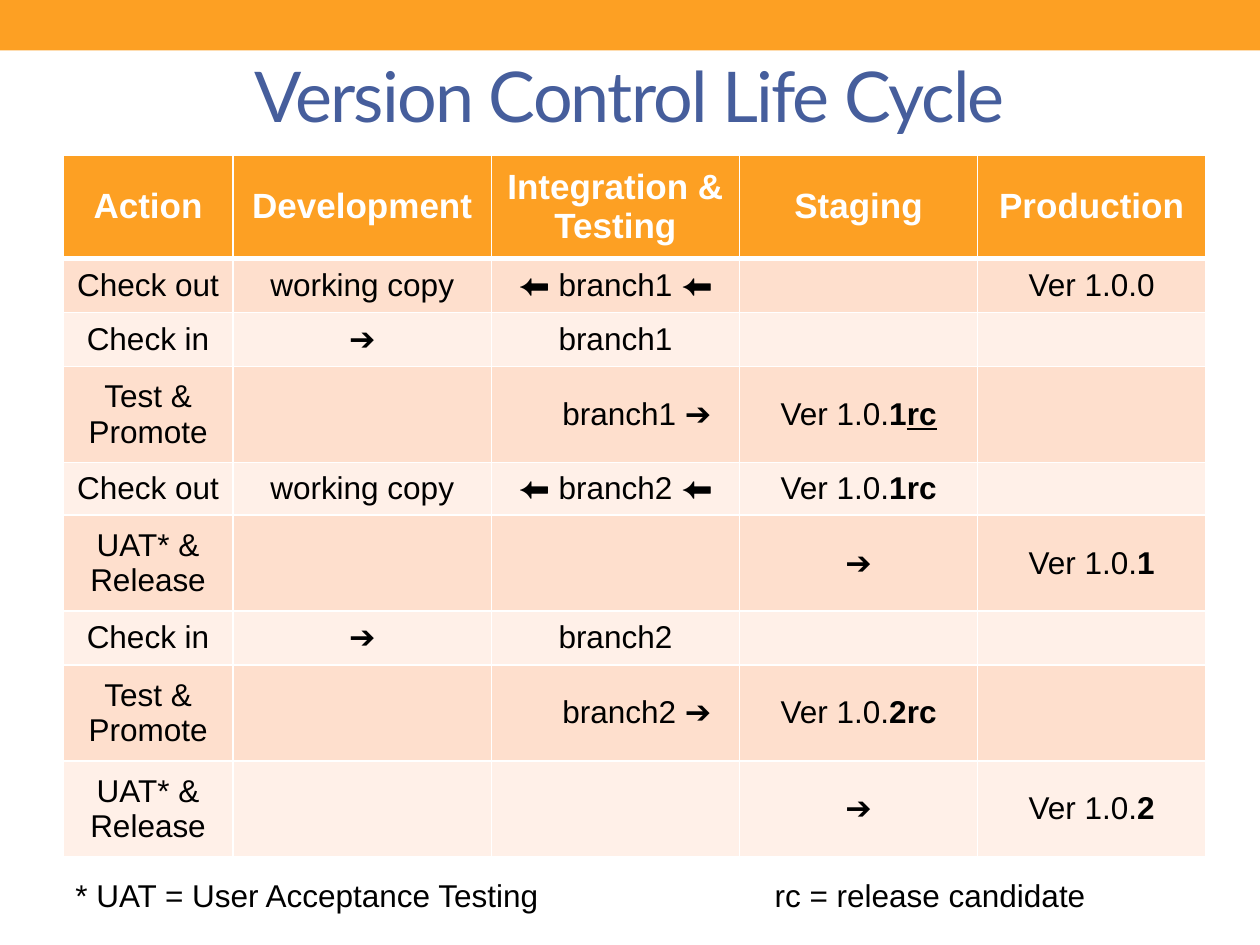
from lxml import etree
from pptx import Presentation
from pptx.dml.color import RGBColor
from pptx.enum.shapes import MSO_SHAPE
from pptx.enum.text import MSO_ANCHOR, PP_ALIGN
from pptx.oxml.ns import qn
from pptx.util import Inches, Pt

RECT = MSO_SHAPE.RECTANGLE
MIDDLE = MSO_ANCHOR.MIDDLE
CENTER, LEFT = PP_ALIGN.CENTER, PP_ALIGN.LEFT

COLORS = {
    "orange": "FDA023",
    "blue": "465E9C",
    "white": "FFFFFF",
    "black": "000000",
    "band_dark": "FEDFCD",
    "band_light": "FFF0E8",
}

COL_WIDTHS = [1.35, 2.05, 1.97, 1.89, 1.81]
ROW_HEIGHTS = [0.82, 0.43, 0.43, 0.76, 0.42, 0.76, 0.43, 0.76, 0.76]
HEADERS = ["Action", "Development", "Integration & Testing", "Staging", "Production"]
VERSION = "Ver 1.0."
STEPS = [
    ["Check out", "working copy", "⬅ branch1 ⬅", "", "Ver 1.0.0"],
    ["Check in", "➔", "branch1", "", ""],
    ["Test & Promote", "", "branch1 ➔", [VERSION, ("1", "b"), ("rc", "bu")], ""],
    ["Check out", "working copy", "⬅ branch2 ⬅", [VERSION, ("1rc", "b")], ""],
    ["UAT* & Release", "", "", "➔", [VERSION, ("1", "b")]],
    ["Check in", "➔", "branch2", "", ""],
    ["Test & Promote", "", "branch2 ➔", [VERSION, ("2rc", "b")], ""],
    ["UAT* & Release", "", "", "➔", [VERSION, ("2", "b")]],
]


def rgb(name):
    return RGBColor.from_string(COLORS[name])


def add_run(p, text, size, color, font="Arial", style=""):
    r = p.add_run()
    r.text = text
    r.font.name = font
    r.font.size = Pt(size)
    r.font.color.rgb = rgb(color)
    r.font.bold = "b" in style
    r.font.underline = "u" in style
    return r


def add_band(s, x, y, w, h, color):
    sp = s.shapes.add_shape(RECT, Inches(x), Inches(y), Inches(w), Inches(h))
    sp.shadow.inherit = False
    sp.fill.solid()
    sp.fill.fore_color.rgb = rgb(color)
    sp.line.fill.background()


def add_text(s, x, y, w, h, align):
    sp = s.shapes.add_textbox(Inches(x), Inches(y), Inches(w), Inches(h))
    tf = sp.text_frame
    tf.word_wrap = True
    tf.vertical_anchor = MIDDLE
    p = tf.paragraphs[0]
    p.alignment = align
    return p


def add_tab_stop(p, x):
    tabs = etree.SubElement(p._p.get_or_add_pPr(), qn("a:tabLst"))
    etree.SubElement(tabs, qn("a:tab"), pos=str(Inches(x)), algn="l")


def set_borders(cell, **widths):
    tc_pr = cell._tc.get_or_add_tcPr()
    for side in "LRTB":
        ln = etree.SubElement(tc_pr, qn(f"a:ln{side}"), w=str(Pt(widths.get(side, 1))))
        fill = etree.SubElement(ln, qn("a:solidFill"))
        etree.SubElement(fill, qn("a:srgbClr"), val=COLORS["white"])


def fill_cell(cell, content, fill, size, color, style=""):
    cell.fill.solid()
    cell.fill.fore_color.rgb = rgb(fill)
    cell.vertical_anchor = MIDDLE
    p = cell.text_frame.paragraphs[0]
    p.alignment = CENTER
    p.font.size = Pt(size)
    for part in [content] if isinstance(content, str) else content:
        text, run_style = (part, style) if isinstance(part, str) else part
        if text:
            add_run(p, text, size, color, style=run_style)


def add_life_cycle_table(s, x, y):
    rows = [HEADERS] + STEPS
    table = s.shapes.add_table(
        len(rows), len(HEADERS), Inches(x), Inches(y),
        Inches(sum(COL_WIDTHS)), Inches(sum(ROW_HEIGHTS)),
    ).table
    for col, width in zip(table.columns, COL_WIDTHS):
        col.width = Inches(width)
    for i, (row, height) in enumerate(zip(rows, ROW_HEIGHTS)):
        table.rows[i].height = Inches(height)
        for j, content in enumerate(row):
            cell = table.cell(i, j)
            if i == 0:
                set_borders(cell, B=3)
                fill_cell(cell, content, "orange", 20, "white", "b")
                continue
            set_borders(cell, T=3 if i == 1 else 1)
            fill_cell(cell, content, "band_dark" if i % 2 else "band_light", 18, "black")
            if j == 2 and row[0] == "Test & Promote":
                cell.margin_left = Inches(0.44)


def main():
    prs = Presentation()
    prs.slide_width, prs.slide_height = Inches(10), Inches(7.5)
    s = prs.slides.add_slide(prs.slide_layouts[6])

    add_band(s, 0, 0, 10, 0.4, "orange")
    title = add_text(s, 0.5, 0.21, 9, 1.08, CENTER)
    r = add_run(title, "Version Control Life Cycle", 40, "blue", "Lato")
    r.font._element.set("spc", "-100")

    add_life_cycle_table(s, 0.5, 1.23)

    note = add_text(s, 0.5, 6.9, 9.07, 0.4, LEFT)
    add_tab_stop(note, 5.55)
    add_run(note, "* UAT = User Acceptance Testing\trc = release candidate", 18, "black")

    prs.save("out.pptx")


if __name__ == "__main__":
    main()
